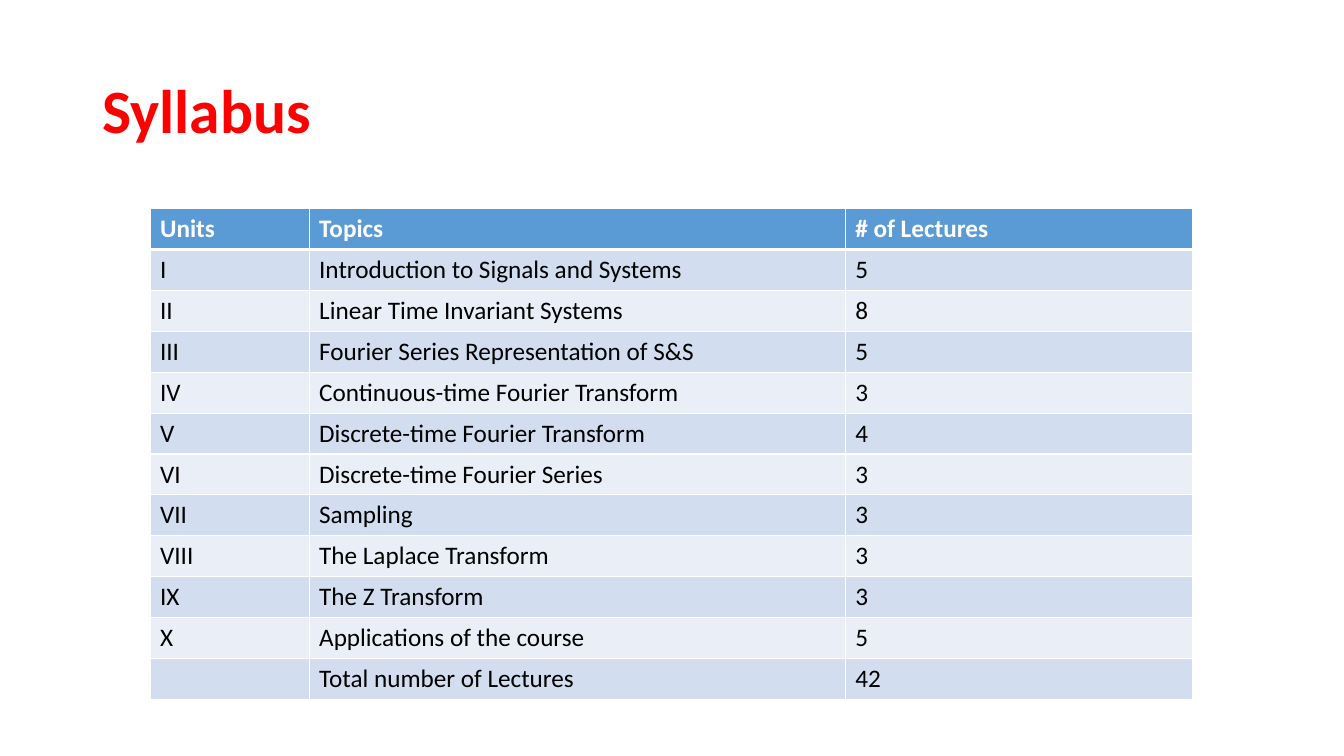
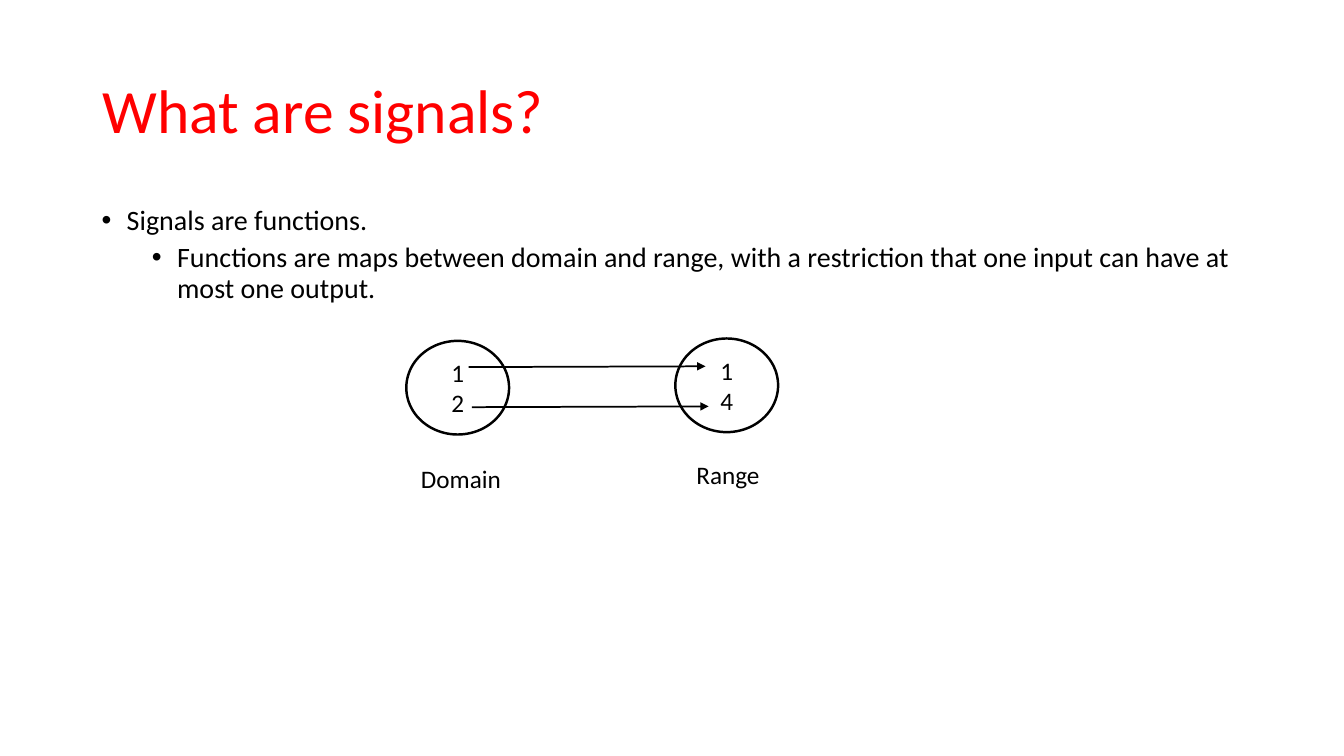
from lxml import etree
from pptx import Presentation
from pptx import util as u
from pptx.dml.color import RGBColor
from pptx.enum import shapes, text
from pptx.oxml import ns

COLORS = {"title": "FF0000", "ink": "000000", "white": "FFFFFF",
          "header": "5B9BD5", "odd": "D2DEEF", "even": "EAEFF7"}
FONT = "Calibri"
TITLE_BOX = (2.33, 1.02, 29.21, 3.68)
SYLLABUS = [
    ("Units", "Topics ", "# of Lectures"),
    ("I", "Introduction to Signals and Systems", "5"),
    ("II", "Linear Time Invariant Systems", "8"),
    ("III", "Fourier Series Representation of S&S", "5"),
    ("IV", "Continuous-time Fourier Transform", "3"),
    ("V", "Discrete-time Fourier Transform", "4"),
    ("VI", "Discrete-time Fourier Series", "3"),
    ("VII", "Sampling", "3"),
    ("VIII", "The Laplace Transform", "3"),
    ("IX", "The Z Transform", "3"),
    ("X", "Applications of the course", "5"),
    ("", "Total number of Lectures", "42"),
]
SIGNALS = [
    ("Signals are functions.", 0),
    ("Functions are maps between domain and range, with a restriction that "
     "one input can have at most one output.", 1),
]


def rgb(name):
    """Return the named colour."""
    return RGBColor.from_string(COLORS[name])


def cm(*lengths):
    """Convert numbers to centimetre lengths."""
    return [u.Cm(n) for n in lengths]


def child(parent, tag, **attrs):
    """Append a drawing element with its attributes."""
    return etree.SubElement(parent, ns.qn("a:" + tag), **attrs)


def write(tf, lines, size=18, color="ink", bold=False, align=None, spacing=None):
    """Write each line as a paragraph and return the paragraphs."""
    for i, line in enumerate(lines):
        p = tf.add_paragraph() if i else tf.paragraphs[0]
        p.alignment, p.line_spacing = align, spacing
        r = p.add_run()
        r.text = line
        r.font.name, r.font.size, r.font.bold = FONT, u.Pt(size), bold
        r.font.color.rgb = rgb(color)
    return tf.paragraphs


def add_text(s, box, lines, wrap=True, anchor=text.MSO_ANCHOR.TOP, **style):
    """Add a text box and return its paragraphs."""
    tf = s.shapes.add_textbox(*cm(*box)).text_frame
    tf.word_wrap, tf.vertical_anchor = wrap, anchor
    return write(tf, lines, **style)


def add_slide(prs, title, bold=False):
    """Add a blank slide with the shared title style."""
    s = prs.slides.add_slide(prs.slide_layouts[6])
    add_text(s, TITLE_BOX, [title], anchor=text.MSO_ANCHOR.MIDDLE,
             size=44, color="title", bold=bold, spacing=0.9)
    return s


def set_borders(cell, top, bottom):
    """Draw white cell borders, with top and bottom widths in points."""
    tc_pr = cell._tc.get_or_add_tcPr()
    for tag, width in (("lnL", 1), ("lnR", 1), ("lnT", top), ("lnB", bottom)):
        ln = child(tc_pr, tag, w=str(u.Pt(width)))
        child(child(ln, "solidFill"), "srgbClr", val=COLORS["white"])


def add_syllabus(s, left, top, widths, row_height):
    """Add the banded table of units and lectures."""
    table = s.shapes.add_table(
        len(SYLLABUS), len(widths),
        *cm(left, top, sum(widths), row_height * len(SYLLABUS))).table
    for column, width in zip(table.columns, widths):
        column.width = u.Cm(width)
    for i, values in enumerate(SYLLABUS):
        table.rows[i].height = u.Cm(row_height)
        header = i == 0
        fill = "header" if header else ("even", "odd")[i % 2]
        for cell, value in zip(table.rows[i].cells, values):
            set_borders(cell, 3 if i == 1 else 1, 3 if header else 1)
            cell.fill.solid()
            cell.fill.fore_color.rgb = rgb(fill)
            if value:
                write(cell.text_frame, [value], bold=header,
                      color="white" if header else "ink")


def add_bullets(s, box, items):
    """Add bulleted lines indented by level."""
    paragraphs = add_text(s, box, [line for line, _ in items], size=20, spacing=0.9)
    for p, (_, level) in zip(paragraphs, items):
        p.level = level
        p.space_before = u.Pt(5 if level else 10)
        p_pr = p._p.get_or_add_pPr()
        p_pr.set("marL", str(u.Inches(0.25 + 0.5 * level)))
        p_pr.set("indent", str(u.Inches(-0.25)))
        child(p_pr, "buFont", typeface="Arial")
        child(p_pr, "buChar", char="•")


def add_set(s, box, values):
    """Add an outlined ellipse listing the members of a set."""
    sp = s.shapes.add_shape(shapes.MSO_SHAPE.OVAL, *cm(*box))
    sp.shadow.inherit = False
    sp.fill.background()
    sp.line.color.rgb, sp.line.width = rgb("ink"), u.Pt(1.75)
    sp.text_frame.vertical_anchor = text.MSO_ANCHOR.MIDDLE
    write(sp.text_frame, values, align=text.PP_ALIGN.CENTER)


def add_arrow(s, x, y, dx, dy):
    """Add an arrow from a point by an offset."""
    line = s.shapes.add_connector(shapes.MSO_CONNECTOR.STRAIGHT,
                                  *cm(x, y, x + dx, y + dy))
    line.line.color.rgb, line.line.width = rgb("ink"), u.Pt(1.25)
    child(line.line._get_or_add_ln(), "tailEnd", type="triangle")
    child(line._element.spPr, "effectLst")


def add_mapping(s, left, top):
    """Add the domain and range sets with the arrows between them."""
    add_set(s, (left, top + 0.06, 2.59, 2.36), ["1", "2"])
    add_set(s, (left + 6.78, top, 2.59, 2.36), ["1", "4"])
    for x, y in ((1.65, 1.73), (1.57, 0.72)):
        add_arrow(s, left + x, top + y, 5.97, -0.02)
    for label, x, y, width in (("Domain", 0.12, 3.03, 2.54),
                               ("Range", 7.06, 2.93, 2.13)):
        add_text(s, (left + x, top + y, width, 1.02), [label], wrap=False)


def main():
    """Build and save both slides."""
    prs = Presentation()
    prs.slide_width, prs.slide_height = cm(33.87, 19.05)
    s = add_slide(prs, "Syllabus", bold=True)
    add_syllabus(s, 3.78, 5.26, (4.01, 13.51, 8.76), 1.03)
    s = add_slide(prs, "What are signals?")
    add_bullets(s, (2.31, 5.08, 29.21, 2.97), SIGNALS)
    add_mapping(s, 10.24, 8.53)
    prs.save("out.pptx")


main()
